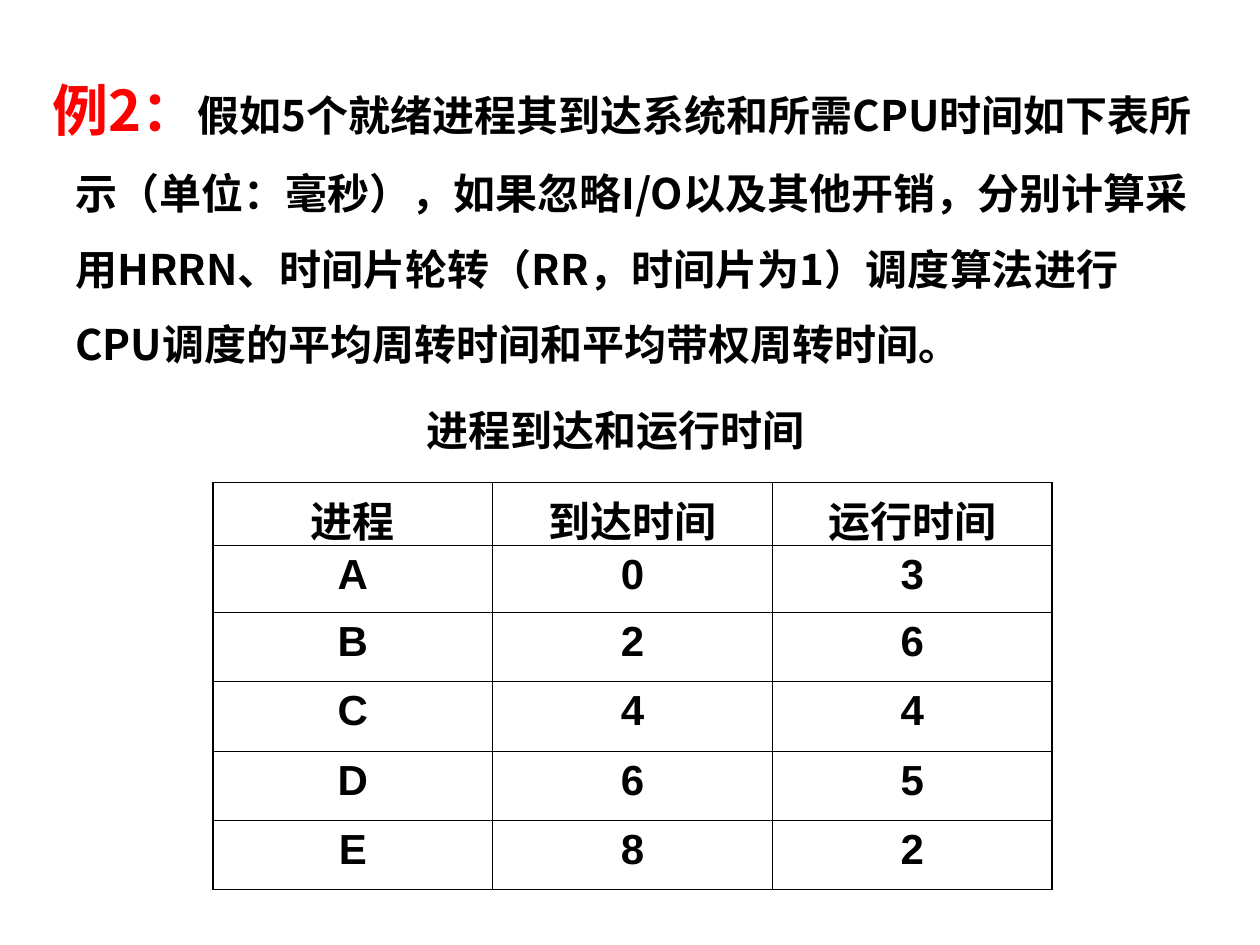
from lxml import etree
from pptx import Presentation
from pptx.dml.color import RGBColor
from pptx.enum.text import MSO_AUTO_SIZE, PP_ALIGN
from pptx.oxml.ns import qn
from pptx.util import Inches, Pt

BLACK = RGBColor(0x00, 0x00, 0x00)
RED = RGBColor(0xFF, 0x00, 0x00)
CENTER, LEFT = PP_ALIGN.CENTER, PP_ALIGN.LEFT
CJK_FONT, TABLE_FONT = "Noto Sans CJK SC", "Arial"
THIN, THICK = 0.45, 1.08

# Content: (alignment, first-line indent, runs of text, size, colour)
PARAGRAPHS = [
    (LEFT, -0.18, [
        ("例2：", 32, RED),
        ("假如5个就绪进程其到达系统和所需CPU时间如下表所示（单位：毫秒），"
         "如果忽略I/O以及其他开销，分别计算采用HRRN、时间片轮转"
         "（RR，时间片为1）调度算法进行CPU调度的平均周转时间和平均带权周转时间。",
         24, BLACK),
    ]),
    (CENTER, -0.38, [("进程到达和运行时间", 24, BLACK)]),
]
PROCESSES = [
    ("进程", "到达时间", "运行时间"),
    ("A", "0", "3"),
    ("B", "2", "6"),
    ("C", "4", "4"),
    ("D", "6", "5"),
    ("E", "8", "2"),
]
ROW_HEIGHTS = [0.5, 0.53, 0.55, 0.55, 0.55, 0.55]
COLUMN_WIDTH = 2.22


def add_span(para, text, size, color, font):
    span = para.add_run()
    span.text = text
    span.font.size = Pt(size)
    span.font.bold = True
    span.font.name = font
    span.font.color.rgb = color
    etree.SubElement(span.font._element, qn("a:ea"), typeface=CJK_FONT)


def set_borders(cell, widths):
    properties = cell._tc.get_or_add_tcPr()
    for position, (side, width) in enumerate(widths.items()):
        line = etree.Element(qn("a:ln" + side), w=str(Pt(width)))
        fill = etree.SubElement(line, qn("a:solidFill"))
        etree.SubElement(fill, qn("a:srgbClr"), val=str(BLACK))
        properties.insert(position, line)


deck = Presentation()
deck.slide_width, deck.slide_height = Inches(10), Inches(7.5)
page = deck.slides.add_slide(deck.slide_layouts[6])

# Problem statement and table caption
box = page.shapes.add_textbox(Inches(0.12), Inches(0.28), Inches(9.53), Inches(3.38))
frame = box.text_frame
frame.word_wrap = True
frame.auto_size = MSO_AUTO_SIZE.SHAPE_TO_FIT_TEXT
for index, (align, indent, spans) in enumerate(PARAGRAPHS):
    para = frame.add_paragraph() if index else frame.paragraphs[0]
    para.alignment = align
    para.line_spacing = 1.5
    para.space_before = Pt(6 if index else 0)
    properties = para._p.get_or_add_pPr()
    properties.set("marL", str(Inches(0.38)))
    properties.set("indent", str(Inches(indent)))
    for text, size, color in spans:
        add_span(para, text, size, color, CJK_FONT)

# Process table: thick outer frame, thin inner lines
last_row, last_column = len(PROCESSES) - 1, len(PROCESSES[0]) - 1
table = page.shapes.add_table(
    last_row + 1, last_column + 1, Inches(1.69), Inches(3.83),
    Inches(COLUMN_WIDTH * (last_column + 1)), Inches(sum(ROW_HEIGHTS))).table
table.first_row = table.horz_banding = False
for column in table.columns:
    column.width = Inches(COLUMN_WIDTH)
for r, (height, values) in enumerate(zip(ROW_HEIGHTS, PROCESSES)):
    table.rows[r].height = Inches(height)
    for c, value in enumerate(values):
        cell = table.cell(r, c)
        cell.fill.background()
        para = cell.text_frame.paragraphs[0]
        para.alignment = CENTER
        add_span(para, value, 24, BLACK, TABLE_FONT)
        set_borders(cell, {
            "L": THIN if c else THICK,
            "R": THICK if c == last_column else THIN,
            "T": THIN if r else THICK,
            "B": THICK if r == last_row else THIN,
        })

deck.save("out.pptx")
